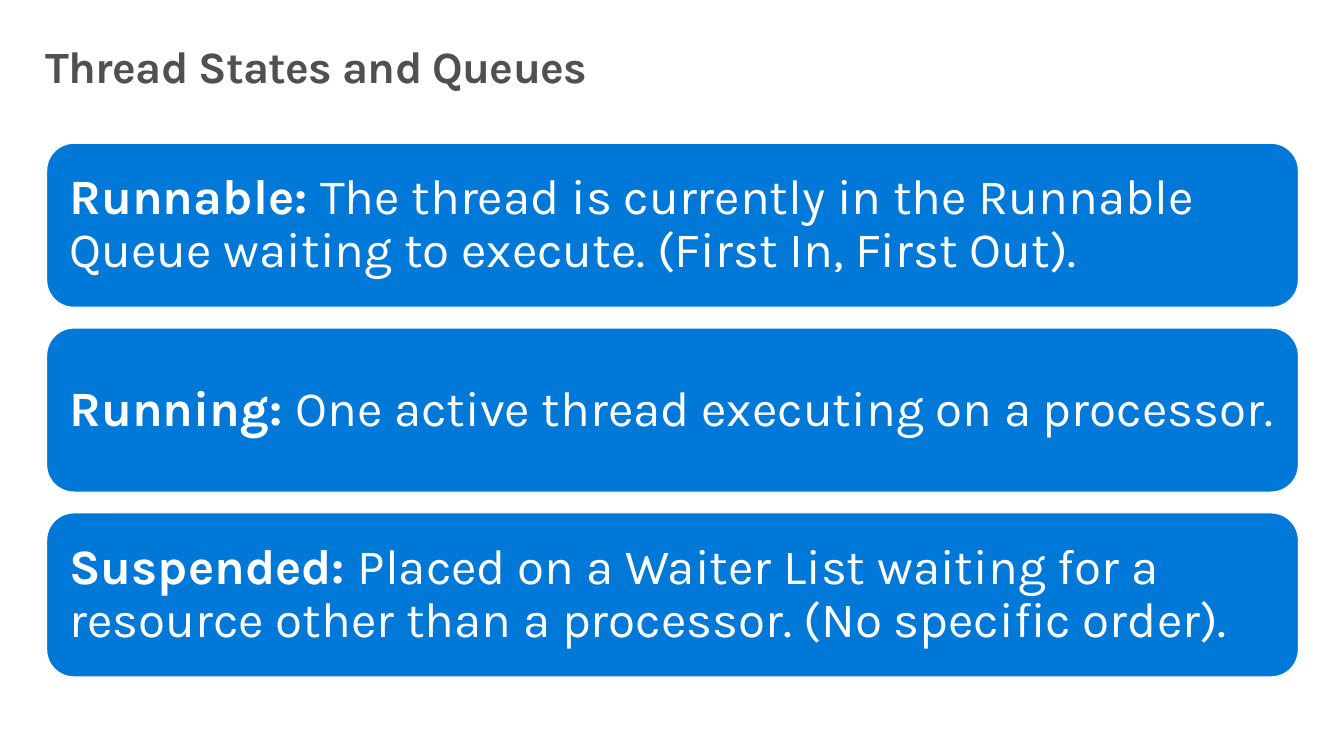
from pptx import Presentation
from pptx.dml.color import RGBColor
from pptx.enum.shapes import MSO_SHAPE
from pptx.enum.text import MSO_ANCHOR, PP_ALIGN
from pptx.util import Pt

COLORS = {"heading": "505050", "card": "0078D7", "white": "FFFFFF"}
STATES = [
    ("Runnable: ", "The thread is currently in the Runnable Queue waiting to execute. "
                   "(First In, First Out)."),
    ("Running: ", "One active thread executing on a processor."),
    ("Suspended: ", "Placed on a Waiter List waiting for a resource other than a processor. "
                    "(No specific order)."),
]
CARD_TOP, CARD_HEIGHT, CARD_PITCH = 104.4, 119.5, 134.64


def format_frame(frame, side, edge, anchor):
    margins = {"margin_left": Pt(side), "margin_right": Pt(side),
               "margin_top": Pt(edge), "margin_bottom": Pt(edge)}
    for name, value in {**margins, "word_wrap": True, "vertical_anchor": anchor}.items():
        setattr(frame, name, value)


def add_span(para, text, size, color, bold):
    span = para.add_run()
    span.text = text
    for name, value in {"name": "Karla", "size": Pt(size), "bold": bold}.items():
        setattr(span.font, name, value)
    span.font.color.rgb = RGBColor.from_string(COLORS[color])
    return span


deck = Presentation()
deck.slide_width, deck.slide_height = Pt(979.2), Pt(550.8)
page = deck.slides.add_slide(deck.slide_layouts[6])

title = page.shapes.add_textbox(Pt(21.6), Pt(23), Pt(936), Pt(72))
format_frame(title.text_frame, 11.5, 7.2, MSO_ANCHOR.TOP)
para = title.text_frame.paragraphs[0]
para.line_spacing = Pt(36.9)
span = add_span(para, "Thread States and Queues", 32.6, "heading", True)
span.font._element.set("spc", "-50")

for index, (state, meaning) in enumerate(STATES):
    card = page.shapes.add_shape(MSO_SHAPE.ROUNDED_RECTANGLE, Pt(34),
                                 Pt(CARD_TOP + index * CARD_PITCH), Pt(912), Pt(CARD_HEIGHT))
    card.shadow.inherit = False
    card.fill.solid()
    card.fill.fore_color.rgb = RGBColor.from_string(COLORS["card"])
    card.line.color.rgb = RGBColor.from_string(COLORS["white"])
    card.line.width = Pt(0.85)
    format_frame(card.text_frame, 10.8, 10.8, MSO_ANCHOR.MIDDLE)
    card.text_frame.margin_right = Pt(8)
    para = card.text_frame.paragraphs[0]
    para.alignment = PP_ALIGN.LEFT
    para.line_spacing = 0.9
    add_span(para, state, 36, "white", True)
    add_span(para, meaning, 36, "white", False)

deck.save("out.pptx")
